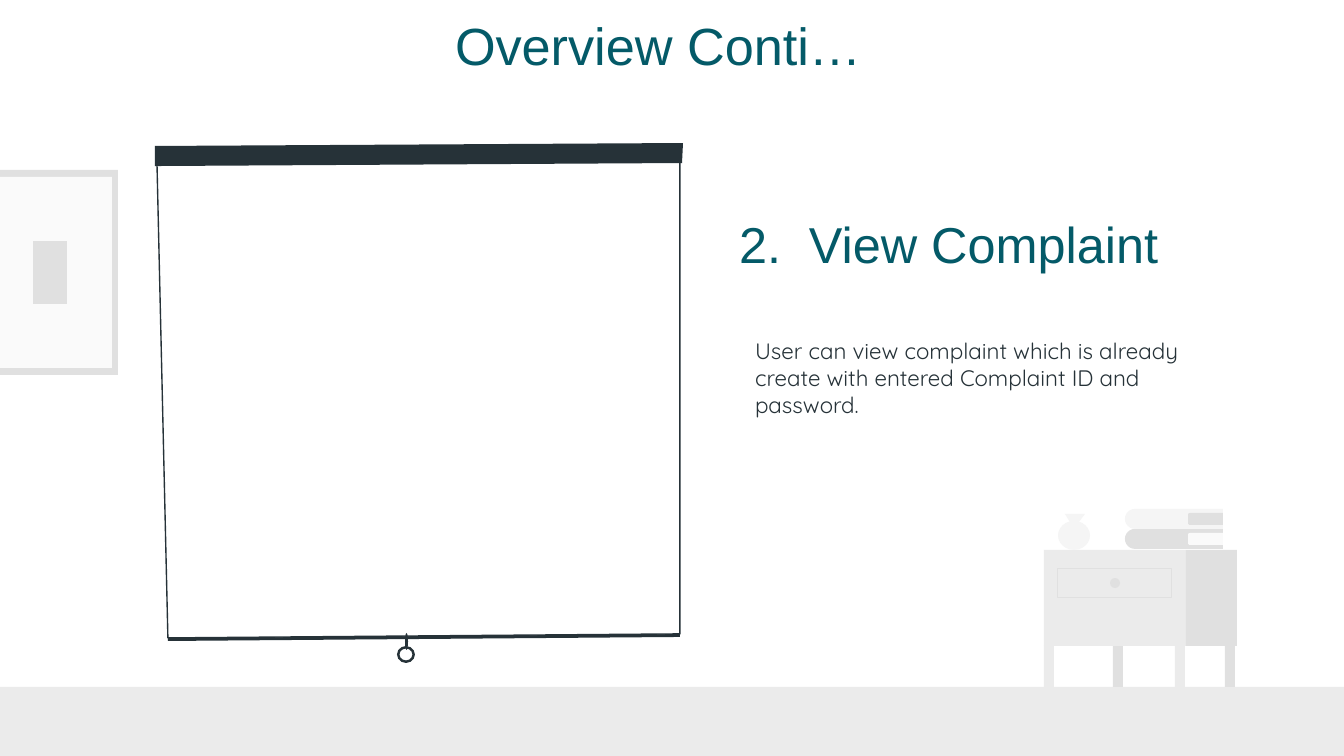
"""Build the "View Complaint" overview slide with a projector screen and furniture."""
import math
from pptx import Presentation
from pptx import util as u
from pptx.dml.color import RGBColor
from pptx.enum import shapes, text

PX = 914400 / 134.4
COLORS = {
    "floor": "EBEBEB", "shade": "E0E0E0", "pale": "FAFAFA", "light": "F5F5F5",
    "white": "FFFFFF", "dark": "263238", "teal": "045A68",
}
KIND = shapes.MSO_SHAPE

presentation = Presentation()
presentation.slide_width = round(1344 * PX)
presentation.slide_height = round(756 * PX)
slide = presentation.slides.add_slide(presentation.slide_layouts[6])


def add_preset(kind, left, top, width, height, color):
    box = [round(value * PX) for value in (left, top, width, height)]
    shape = slide.shapes.add_shape(kind, *box)
    shape.shadow.inherit = False
    shape.fill.solid()
    shape.fill.fore_color.rgb = RGBColor.from_string(COLORS[color])
    shape.line.fill.background()
    return shape


def add_outline(points, color):
    corners = [(round(x * PX), round(y * PX)) for x, y in points]
    builder = slide.shapes.build_freeform(*corners[0], scale=1.0)
    builder.add_line_segments(corners[1:], close=True)
    shape = builder.convert_to_shape()
    shape.shadow.inherit = False
    shape.fill.solid()
    shape.fill.fore_color.rgb = RGBColor.from_string(COLORS[color])
    shape.line.fill.background()
    return shape


for left, top, width, height, color in [
    (0, 687, 1344, 69, "floor"),
    (-17, 170, 135, 205, "shade"),
    (-12, 177, 124, 191, "pale"),
    (33, 241, 34, 63, "shade"),
    (1044, 646, 10, 41, "floor"),
    (1175, 646, 10, 41, "floor"),
    (1113, 646, 10, 41, "shade"),
    (1225, 646, 10, 41, "shade"),
    (1044, 550, 142, 96, "floor"),
    (1186, 550, 51, 96, "shade"),
]:
    add_preset(KIND.RECTANGLE, left, top, width, height, color)

drawer = add_preset(KIND.RECTANGLE, 1058, 568, 114, 30, "floor")
drawer.line.color.rgb = RGBColor.from_string(COLORS["shade"])
drawer.line.width = u.Pt(0.5)
add_preset(KIND.OVAL, 1110, 578, 10, 10, "shade")

add_preset(KIND.OVAL, 1058, 521, 32, 29, "light")
add_outline([(1065, 514), (1085, 514), (1079, 522), (1070, 522)], "light")

for top, cover, label in [(529, "shade", "pale"), (509, "light", "shade")]:
    for left, upper, height, radius, color in [
        (1125, top, 20, 10, cover), (1188, top + 4, 12, 2, label),
    ]:
        outline = [(1223, upper + height), (1223, upper)]
        for center, start in [(upper + radius, 90), (upper + height - radius, 180)]:
            for angle in range(start, start + 91, 15):
                turn = math.radians(angle)
                outline.append((left + radius + radius * math.cos(turn),
                                center - radius * math.sin(turn)))
        add_outline(outline, color)

add_outline([(680, 633), (168, 637), (168, 641), (680, 637)], "dark")
screen = add_outline([(680, 155), (157, 162), (168, 638), (680, 634)], "white")
screen.line.color.rgb = RGBColor.from_string(COLORS["dark"])
screen.line.width = u.Pt(0.75)
add_outline([(683, 143), (155, 146), (155, 166), (682, 163)], "dark")
add_preset(KIND.OVAL, 405, 633, 3, 17, "dark")
ring = add_preset(KIND.DONUT, 397, 646, 18, 17, "dark")
ring.adjustments[0] = 0.15

TOP, BOTTOM = text.MSO_ANCHOR.TOP, text.MSO_ANCHOR.BOTTOM
LEFT, CENTER = text.PP_ALIGN.LEFT, text.PP_ALIGN.CENTER
BODY = "User can view complaint which is already create with entered Complaint ID and password."
for words, box, inset, anchor, align, size, font, color in [
    ("2.  View Complaint", (726, 200, 495, 59), 13, TOP, LEFT, 27, "Arial", "teal"),
    (BODY, (742, 259, 493, 172), 13, BOTTOM, LEFT, 12, "Quicksand", "dark"),
    ("Overview Conti…", (418, 0, 457, 58), 36, TOP, CENTER, 28, "Arial", "teal"),
]:
    frame = slide.shapes.add_textbox(*[round(value * PX) for value in box]).text_frame
    frame.word_wrap = True
    frame.vertical_anchor = anchor
    frame.margin_left = round(inset * PX)
    frame.margin_right = frame.margin_top = frame.margin_bottom = round(13 * PX)
    frame.text = words
    paragraph = frame.paragraphs[0]
    paragraph.alignment = align
    run = paragraph.runs[0]
    run.font.size = u.Pt(size)
    run.font.name = font
    run.font.color.rgb = RGBColor.from_string(COLORS[color])

presentation.save("out.pptx")
